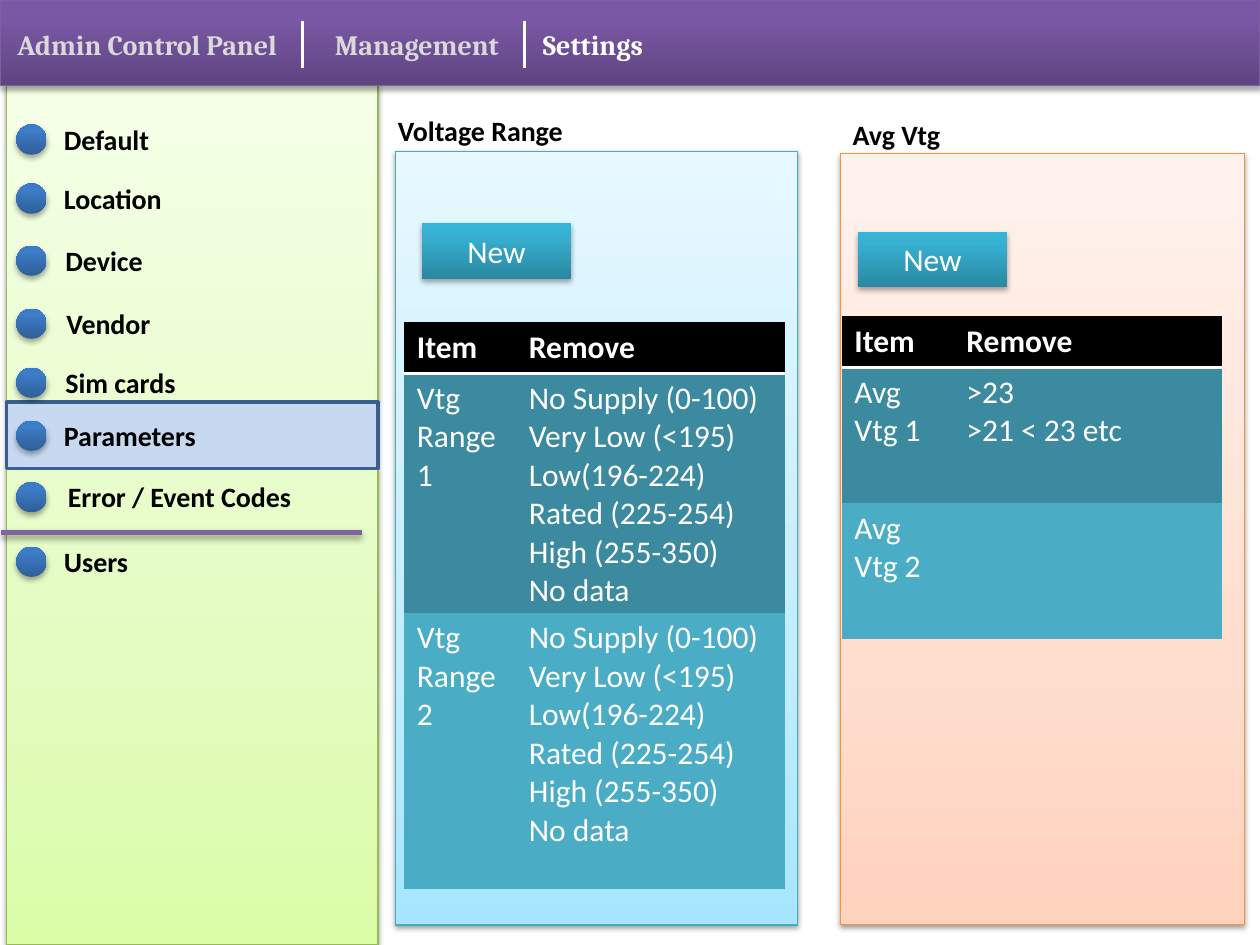
from copy import deepcopy

from pptx import Presentation
from pptx.dml.color import RGBColor
from pptx.enum.shapes import MSO_CONNECTOR as LINE, MSO_SHAPE as SHAPE
from pptx.enum.text import MSO_ANCHOR as ANCHOR, MSO_AUTO_SIZE as AUTOSIZE, PP_ALIGN as ALIGN
from pptx.oxml import parse_xml
from pptx.oxml.ns import nsdecls, qn
from pptx.util import Cm, Pt

PLAIN_TABLE = "{2D5ABB26-0587-4C30-8999-92F81FD0307C}"
SOFT, DEEP = (38, 20000), (35, 23000)  # shadow opacity and distance

# Gradients run from bottom to top
GREEN = [(0, "DAFDA7"), (0.35, "E4FCC2"), (1, "F5FFE7")]
PURPLE = [(0, "5F4480"), (0.8, "7B58A6"), (1, "7C57A8")]
BLUE = [(0, "2F5F99"), (0.8, "3D7CC7"), (1, "3A7CCB")]
SKY = [(0, "A7E6FF"), (0.35, "C1EDFF"), (1, "E7F8FF")]
PEACH = [(0, "FFD2BD"), (0.35, "FFDED0"), (1, "FFF2ED")]
TEAL = [(0, "2A88A2"), (0.8, "37B1D2"), (1, "34B4D6")]

HEADER = {"name": "Cambria", "size": Pt(16), "bold": True}
LABEL = {"name": "Calibri", "size": Pt(16), "bold": True}
BODY = {"name": "Calibri", "size": Pt(18), "bold": False}


def color(code):
    return RGBColor.from_string(code)


class Page:
    """Draws styled elements on one slide; lengths are centimetres."""

    def __init__(self, slide):
        self.slide = slide
        self.shapes = slide.shapes

    def fill_text(self, frame, lines, font, ink, align=ALIGN.LEFT):
        for index, line in enumerate(lines):
            para = frame.add_paragraph() if index else frame.paragraphs[0]
            para.alignment = align
            span = para.add_run()
            span.text = line
            for key, value in font.items():
                setattr(span.font, key, value)
            span.font.color.rgb = color(ink)

    def effects(self, item, shadow=None):
        properties = item._element.spPr
        effects = parse_xml(f"<a:effectLst {nsdecls('a')}/>")
        if shadow:
            alpha, distance = shadow
            effects.append(parse_xml(
                f'<a:outerShdw {nsdecls("a")} blurRad="40000" dist="{distance}" dir="5400000" '
                f'rotWithShape="0"><a:srgbClr val="000000"><a:alpha val="{alpha * 1000}"/>'
                '</a:srgbClr></a:outerShdw>'))
        properties.append(effects)

    def gradient(self, box, stops):
        box.fill.gradient()
        box.fill.gradient_angle = 90
        stop_list = box._element.spPr.find(".//" + qn("a:gsLst"))
        stop_list.append(deepcopy(stop_list[-1]))
        for stop, (position, code) in zip(box.fill.gradient_stops, stops):
            stop.position = position
            stop.color.rgb = color(code)

    def box(self, place, fill, line=None, width=0.75, shadow=None, kind=SHAPE.RECTANGLE):
        box = self.shapes.add_shape(kind, *map(Cm, place))
        if isinstance(fill, str):
            box.fill.solid()
            box.fill.fore_color.rgb = color(fill)
        else:
            self.gradient(box, fill)
        if line:
            box.line.color.rgb = color(line)
            box.line.width = Pt(width)
        else:
            box.line.fill.background()
        self.effects(box, shadow)
        return box

    def button(self, left, top, label):
        box = self.box((left, top, 3, 1.12), TEAL, shadow=DEEP)
        box.text_frame.vertical_anchor = ANCHOR.MIDDLE
        self.fill_text(box.text_frame, [label], BODY, "FFFFFF", ALIGN.CENTER)

    def text(self, place, words, font=LABEL, ink="000000"):
        box = self.shapes.add_textbox(*map(Cm, place))
        box.text_frame.word_wrap = True
        box.text_frame.auto_size = AUTOSIZE.SHAPE_TO_FIT_TEXT
        self.fill_text(box.text_frame, [words], font, ink)

    def title(self, place, words):
        title = self.shapes.title
        for key, value in zip(("left", "top", "width", "height"), place):
            setattr(title, key, Cm(value))
        frame = title.text_frame
        frame.vertical_anchor = ANCHOR.TOP
        frame.word_wrap = True
        frame.auto_size = AUTOSIZE.SHAPE_TO_FIT_TEXT
        self.fill_text(frame, [words], HEADER, "FFFFFF")
        # Bring the title in front of the header bar
        self.shapes._spTree.append(title._element)

    def line(self, ends, code, width, shadow=None):
        line = self.shapes.add_connector(LINE.STRAIGHT, *map(Cm, ends))
        line.line.color.rgb = color(code)
        line.line.width = Pt(width)
        self.effects(line, shadow)

    def table(self, left, top, heights, rows):
        widths = (2.26, 5.41)
        frame = self.shapes.add_table(len(rows), len(widths), Cm(left), Cm(top),
                                      Cm(sum(widths)), Cm(sum(heights)))
        table = frame.table
        table._tbl.tblPr.find(qn("a:tableStyleId")).text = PLAIN_TABLE
        for column, width in zip(table.columns, widths):
            column.width = Cm(width)
        fills = ("000000", "3C8A9F", "4BACC6")
        for index, (height, row, fill) in enumerate(zip(heights, rows, fills)):
            table.rows[index].height = Cm(height)
            for cell, lines in zip(table.rows[index].cells, row):
                cell.fill.solid()
                cell.fill.fore_color.rgb = color(fill)
                self.fill_text(cell.text_frame, lines, BODY | {"bold": index == 0}, "FFFFFF")
                if index == 0:
                    cell._tc.get_or_add_tcPr().insert(0, parse_xml(
                        f'<a:lnB {nsdecls("a")} w="25400"><a:solidFill>'
                        '<a:srgbClr val="FFFFFF"/></a:solidFill></a:lnB>'))


deck = Presentation()
deck.slide_width, deck.slide_height = Cm(25.4), Cm(19.05)
page = Page(deck.slides.add_slide(deck.slide_layouts[5]))

# Sidebar, selected entry and header bar
page.box((0.13, 1.73, 7.49, 17.32), GREEN, "98B955", shadow=SOFT)
page.box((0.13, 8.1, 7.49, 1.35), "C6D9F1", "3A5F8C", 2)
page.box((0, 0, 25.4, 1.73), PURPLE, "7D60A0", shadow=DEEP)

# Header navigation
page.text((0.1, 0.43, 6.4, 0.94), "Admin Control Panel", HEADER, "D9D9D9")
page.text((6.5, 0.43, 3.99, 0.94), "Management", HEADER, "D9D9D9")
page.title((10.69, 0.43, 3.99, 0.94), "Settings")
for divider in (6.1, 10.57):
    page.line((divider, 0.43, divider, 1.37), "FFFFFF", 1.75)

# Sidebar menu
menu = [("Default", 1.04, 2.34), ("Location", 1.04, 3.53), ("Device", 1.07, 4.78),
        ("Vendor", 1.09, 6.05), ("Sim cards", 1.07, 7.24), ("Parameters", 1.04, 8.31),
        ("Error / Event Codes", 1.12, 9.55), ("Users", 1.04, 10.85)]
for entry, left, top in menu:
    page.box((0.33, top + 0.17, 0.61, 0.61), BLUE, shadow=DEEP, kind=SHAPE.OVAL)
    page.text((left, top, 6.2, 0.94), entry)
page.line((0.03, 10.74, 7.29, 10.74), "8064A2", 3, DEEP)

# Panels with their headings
page.box((7.98, 3.05, 8.1, 15.6), SKY, "46AAC5", shadow=SOFT)
page.box((16.94, 3.1, 8.15, 15.54), PEACH, "F69240", shadow=SOFT)
page.text((7.77, 2.16, 4.52, 0.94), "Voltage Range")
page.text((16.94, 2.24, 4.52, 0.94), "Avg Vtg")

# Tables
headings = (["Item"], ["Remove"])
levels = ["No Supply (0-100)", "Very Low (<195)", "Low(196-224)",
          "Rated (225-254)", "High (255-350)", "No data"]
page.table(8.15, 6.5, (1.02, 4.83, 5.58),
           [headings, (["Vtg Range 1"], levels), (["Vtg Range 2"], levels)])
page.table(16.97, 6.38, (1.02, 2.74, 2.74),
           [headings, (["Avg Vtg 1"], [">23", ">21 < 23 etc"]), (["Avg Vtg 2"], [])])

# Buttons
page.button(8.51, 4.5, "New")
page.button(17.3, 4.67, "New")

deck.save("out.pptx")
